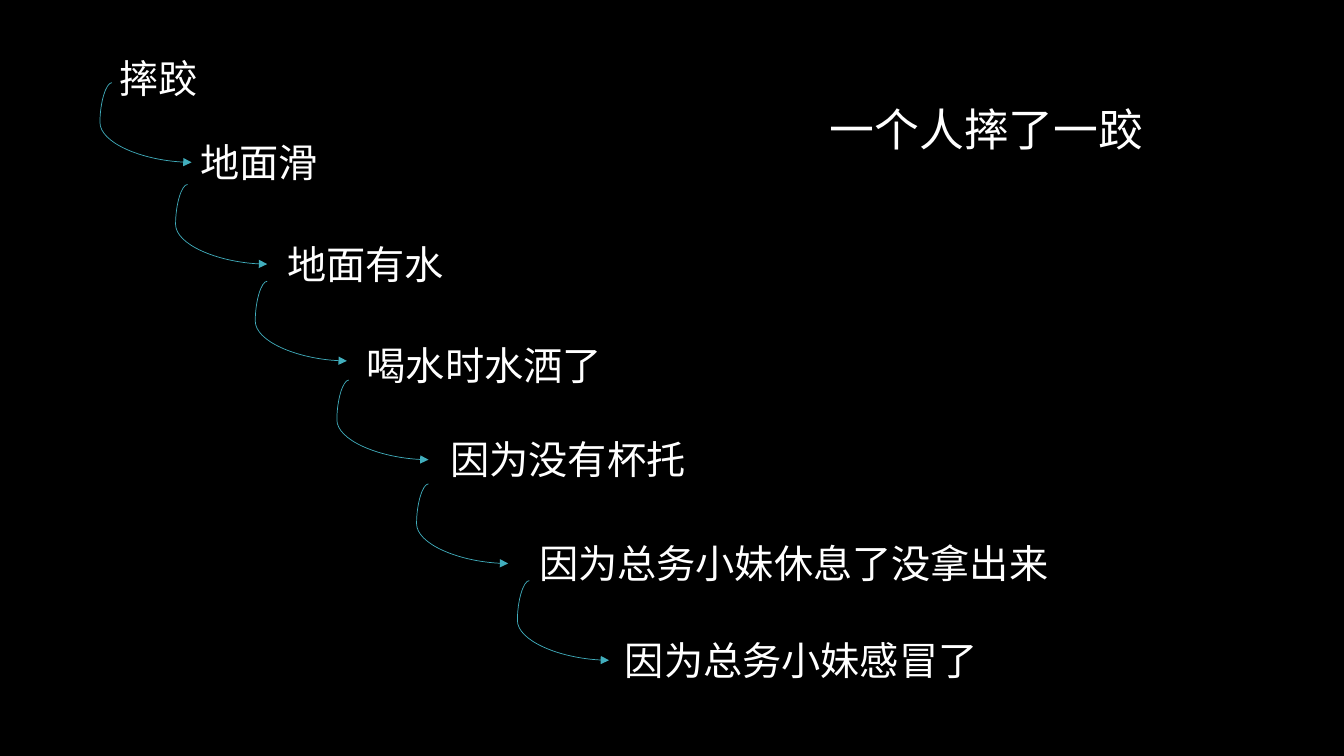
from lxml.etree import SubElement
from pptx import Presentation
from pptx.dml.color import RGBColor
from pptx.enum.shapes import MSO_CONNECTOR
from pptx.enum.text import MSO_AUTO_SIZE
from pptx.oxml.ns import qn
from pptx.util import Inches, Pt

COLORS = {"background": "000000", "text": "FFFFFF", "arrow": "41AEBD"}
CHAR_WIDTH = 1.01  # in ems, with a little room so that no line wraps
ARROW_SPAN = 0.79
ARROW_BEND = -15000  # bulge to the left, in 1/100000 of the width

# Each cause: text, left and top of its box
CAUSES = [
    ("摔跤", 1.09, 0.49),
    ("地面滑", 1.89, 1.32),
    ("地面有水", 2.75, 2.33),
    ("喝水时水洒了", 3.54, 3.34),
    ("因为没有杯托", 4.37, 4.27),
    ("因为总务小妹休息了没拿出来", 5.25, 5.3),
    ("因为总务小妹感冒了", 6.1, 6.26),
]
# Start of the arrow from each cause to the next
ARROW_STARTS = [(1.11, 0.82), (1.86, 1.83), (2.65, 2.79),
                (3.46, 3.77), (4.25, 4.8), (5.25, 5.76)]


def add_label(slide, text, left, top, size):
    """One line of text in a box as wide as its characters."""
    width = len(text) * CHAR_WIDTH * size / 72 + 0.2
    height = size * 1.2 / 72 + 0.1
    box = slide.shapes.add_textbox(
        Inches(left), Inches(top), Inches(width), Inches(height))
    tf = box.text_frame
    for name, value in {"word_wrap": False,
                        "auto_size": MSO_AUTO_SIZE.SHAPE_TO_FIT_TEXT}.items():
        setattr(tf, name, value)
    r = tf.paragraphs[0].add_run()
    r.text = text
    for name, value in {"name": "Calibri", "size": Pt(size)}.items():
        setattr(r.font, name, value)
    r.font.color.rgb = RGBColor.from_string(COLORS["text"])


def add_arrow(slide, left, top):
    """Curved arrow that bulges left, then points to the lower right."""
    cxn = slide.shapes.add_connector(
        MSO_CONNECTOR.CURVE, Inches(left), Inches(top),
        Inches(left + ARROW_SPAN), Inches(top + ARROW_SPAN))
    cxn.line.width = Pt(0.5)
    cxn.line.color.rgb = RGBColor.from_string(COLORS["arrow"])
    sp_pr = cxn._element.spPr
    SubElement(sp_pr.find(qn("a:ln")), qn("a:tailEnd"), type="triangle")
    SubElement(sp_pr, qn("a:effectLst"))
    guides = sp_pr.find(qn("a:prstGeom")).find(qn("a:avLst"))
    SubElement(guides, qn("a:gd"), name="adj1", fmla=f"val {ARROW_BEND}")


def add_cause_chain(slide):
    """Staircase of causes joined by arrows."""
    for text, left, top in CAUSES:
        add_label(slide, text, left, top, 28)
    for left, top in ARROW_STARTS:
        add_arrow(slide, left, top)


def main():
    prs = Presentation()
    prs.slide_width, prs.slide_height = Inches(13.33), Inches(7.5)
    s = prs.slides.add_slide(prs.slide_layouts[6])
    fill = s.background.fill
    fill.solid()
    fill.fore_color.rgb = RGBColor.from_string(COLORS["background"])

    # Causes on the left, the event at the top right
    add_cause_chain(s)
    add_label(s, "一个人摔了一跤", 8.13, 0.96, 32)
    prs.save("out.pptx")


if __name__ == "__main__":
    main()
